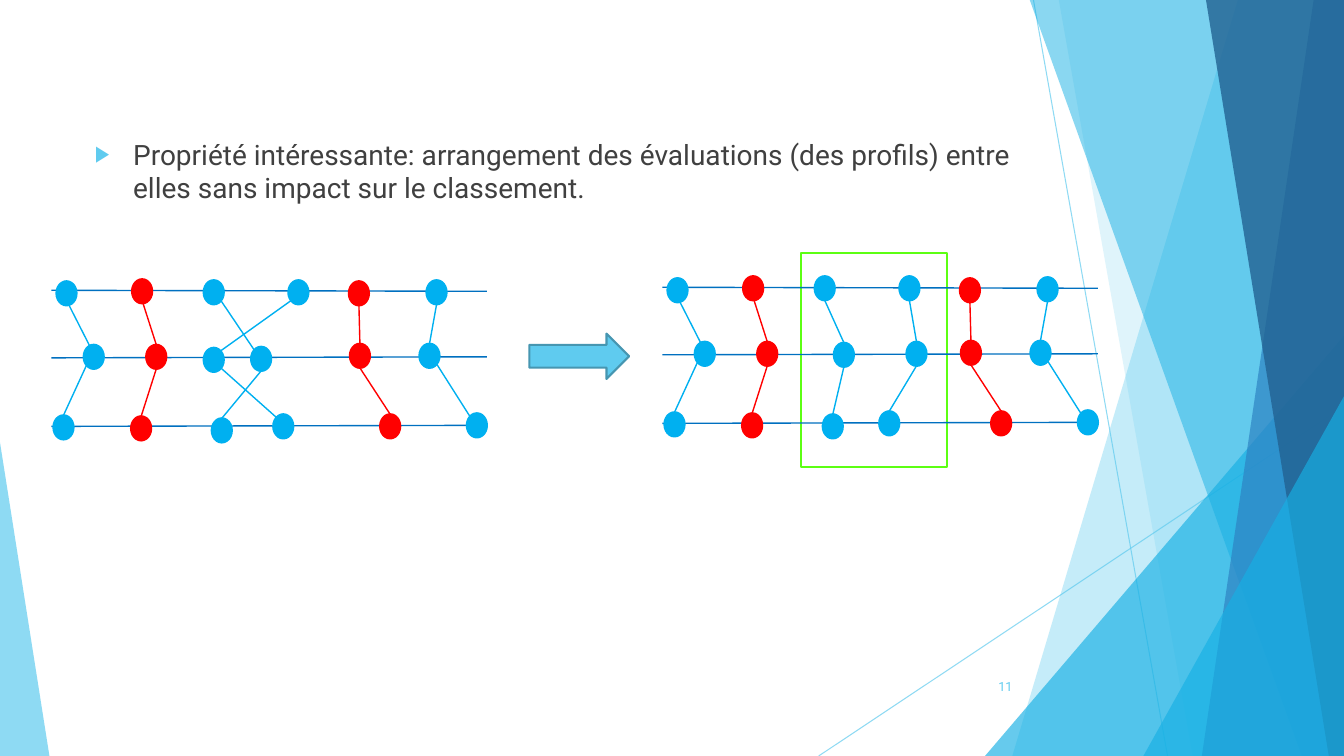
from dataclasses import dataclass

from lxml.etree import SubElement
from pptx import Presentation
from pptx.dml.color import RGBColor
from pptx.enum.shapes import MSO_CONNECTOR as Connector, MSO_SHAPE as Shape
from pptx.enum.text import MSO_ANCHOR as Anchor, MSO_AUTO_SIZE as AutoSize, PP_ALIGN as Align
from pptx.oxml.ns import qn
from pptx.util import Pt

PX = 9144
WIDTH, HEIGHT = 1333, 750


@dataclass(frozen=True)
class Theme:
    font: str = "Roboto"
    text: str = "404040"
    accent: str = "5FCBEF"
    arrow_edge: str = "4696B1"
    azure: str = "17B0E4"
    blue: str = "2E83C3"
    navy: str = "226292"
    scale_line: str = "0070C0"
    profile: str = "00B0F0"
    limit: str = "FF0000"
    frame: str = "5CFF13"
    white: str = "FFFFFF"
    body_size: int = 20
    number_size: int = 9


THEME = Theme()

DOT_WIDTH, DOT_HEIGHT = 20, 24
SITES = {
    "top": (10, 0), "bottom": (10, 24), "inner": (8, 15), "low": (14, 17),
    "top_left": (3, 3), "top_right": (17, 3),
    "bottom_left": (3, 20), "bottom_right": (17, 20),
}
STRAIGHT = (("bottom", "top"), ("bottom", "top"))

CRITERIA = ((0, 1), (67, 66), (135, 134))
CRITERION_WIDTH = 432

FIXED_PROFILES = (
    (THEME.profile, ((5, -9), (32, 54), (2, 124)), (("inner", "low"), ("bottom_left", "top"))),
    (THEME.profile, ((372, -10), (365, 53), (412, 122)),
     (("bottom", "top"), ("bottom_right", "top_left"))),
    (THEME.limit, ((80, -11), (94, 54), (79, 125)), (("inner", "top"), ("bottom", "top"))),
    (THEME.limit, ((295, -9), (296, 53), (326, 123)), STRAIGHT),
)
CROSSED_PROFILES = (
    (THEME.profile, ((151, -10), (198, 56), (159, 127)),
     (("bottom_right", "top_left"), ("bottom", "top"))),
    (THEME.profile, ((235, -10), (151, 57), (220, 123)),
     (("bottom_left", "top_right"), ("bottom_right", "top_left"))),
)
ARRANGED_PROFILES = (
    (THEME.profile, ((151, -11), (170, 55), (159, 126)), STRAIGHT),
    (THEME.profile, ((235, -11), (242, 54), (215, 123)), STRAIGHT),
)


def emu(*lengths):
    return [length * PX for length in lengths]


def set_alpha(fill_parent, percent):
    color = fill_parent.find(".//" + qn("a:srgbClr"))
    SubElement(color, qn("a:alpha")).set("val", str(percent * 1000))


def paint(shape, fill, opacity=100, edge=None):
    shape.shadow.inherit = False
    shape.fill.solid()
    shape.fill.fore_color.rgb = RGBColor.from_string(fill)
    if opacity < 100:
        set_alpha(shape.fill._xPr, opacity)
    if edge:
        shape.line.color.rgb = RGBColor.from_string(edge)
        shape.line.width = Pt(1.5)
    else:
        shape.line.fill.background()


def add_preset(slide, preset, box, fill, opacity=100, edge=None):
    shape = slide.shapes.add_shape(preset, *emu(*box))
    paint(shape, fill, opacity, edge)
    return shape


def add_line(slide, start, end, color, width=1, opacity=100):
    line = slide.shapes.add_connector(Connector.STRAIGHT, *emu(*start, *end))
    line.line.color.rgb = RGBColor.from_string(color)
    line.line.width = Pt(width)
    properties = line._element.spPr
    if opacity < 100:
        set_alpha(properties, opacity)
    SubElement(properties, qn("a:effectLst"))


def format_run(paragraph, size, color):
    font = paragraph.runs[0].font
    font.name = THEME.font
    font.size = Pt(size)
    font.color.rgb = RGBColor.from_string(color)


def add_facets(slide, box):
    left, top, width, height = box
    right, bottom = left + width, top + height

    def band(upper, lower, color, opacity):
        builder = slide.shapes.build_freeform(left + upper, top - 1, scale=PX)
        builder.add_line_segments(
            [(right, top - 1), (right, bottom), (left + lower, bottom)], close=True)
        paint(builder.convert_to_shape(), color, opacity)

    def corner(x, rise, span, lean, color, opacity):
        triangle = add_preset(slide, Shape.ISOSCELES_TRIANGLE,
                              (left + x, bottom - rise, span, rise), color, opacity)
        triangle.adjustments[0] = lean

    add_line(slide, (left + 1025, top), (left + 1158, bottom), THEME.accent, 0.75, 70)
    add_line(slide, (right, top + 403), (left + 812, bottom), THEME.accent, 0.75, 70)
    band(1228, 1004, THEME.accent, 36)
    band(1050, 1183, THEME.accent, 20)
    corner(977, 417, 356, 1, THEME.azure, 66)
    band(1021, 1291, THEME.azure, 50)
    band(1303, 1192, THEME.blue, 70)
    band(1196, 1318, THEME.navy, 80)
    corner(1134, 357, 199, 1, THEME.azure, 66)
    corner(0, 311, 49, 0, THEME.accent, 70)


def fill_body(slide, box, statement):
    body = slide.placeholders[1]
    body.left, body.top, body.width, body.height = emu(*box)
    frame = body.text_frame
    frame.text = statement
    frame.auto_size = AutoSize.NONE
    paragraph = frame.paragraphs[0]
    paragraph.space_before = Pt(10)
    format_run(paragraph, THEME.body_size, THEME.text)
    properties = paragraph._p.get_or_add_pPr()
    properties.set("marL", str(38 * PX))
    properties.set("indent", str(-38 * PX))
    bullet_color = SubElement(properties, qn("a:buClr"))
    SubElement(bullet_color, qn("a:srgbClr")).set("val", THEME.accent)
    SubElement(properties, qn("a:buSzPct")).set("val", "80000")
    SubElement(properties, qn("a:buFont")).set("typeface", "Arial")
    SubElement(properties, qn("a:buChar")).set("char", "▶")


def add_page_number(slide, box, number):
    frame = slide.shapes.add_textbox(*emu(*box)).text_frame
    frame.word_wrap = True
    frame.vertical_anchor = Anchor.MIDDLE
    frame.text = number
    frame.paragraphs[0].alignment = Align.RIGHT
    format_run(frame.paragraphs[0], THEME.number_size, THEME.accent)


def add_ranking(slide, origin, profiles):
    left, top = origin
    for start, end in CRITERIA:
        add_line(slide, (left, top + start), (left + CRITERION_WIDTH, top + end),
                 THEME.scale_line)
    for color, offsets, links in profiles:
        dots = [(left + x, top + y) for x, y in offsets]
        for x, y in dots:
            add_preset(slide, Shape.FLOWCHART_CONNECTOR, (x, y, DOT_WIDTH, DOT_HEIGHT),
                       color, edge=color)
        for upper, lower, sites in zip(dots, dots[1:], links):
            start, end = [(x + SITES[site][0], y + SITES[site][1])
                          for (x, y), site in zip((upper, lower), sites)]
            add_line(slide, start, end, color)


def main():
    deck = Presentation()
    deck.slide_width, deck.slide_height = emu(WIDTH, HEIGHT)
    slide = deck.slides.add_slide(deck.slide_layouts[1])
    title = slide.shapes.title._element
    title.getparent().remove(title)
    add_facets(slide, (0, 0, WIDTH, HEIGHT))
    fill_body(slide, (84, 131, 940, 424),
              "Propriété intéressante: arrangement des évaluations (des profils) "
              "entre elles sans impact sur le classement.")
    add_page_number(slide, (939, 661, 75, 40), "11")
    add_preset(slide, Shape.RECTANGLE, (794, 251, 145, 212), THEME.white, edge=THEME.frame)
    add_ranking(slide, (51, 288), CROSSED_PROFILES + FIXED_PROFILES)
    add_preset(slide, Shape.RIGHT_ARROW, (525, 331, 99, 45), THEME.accent,
               edge=THEME.arrow_edge)
    add_ranking(slide, (657, 285), ARRANGED_PROFILES + FIXED_PROFILES)
    deck.save("out.pptx")


if __name__ == "__main__":
    main()
